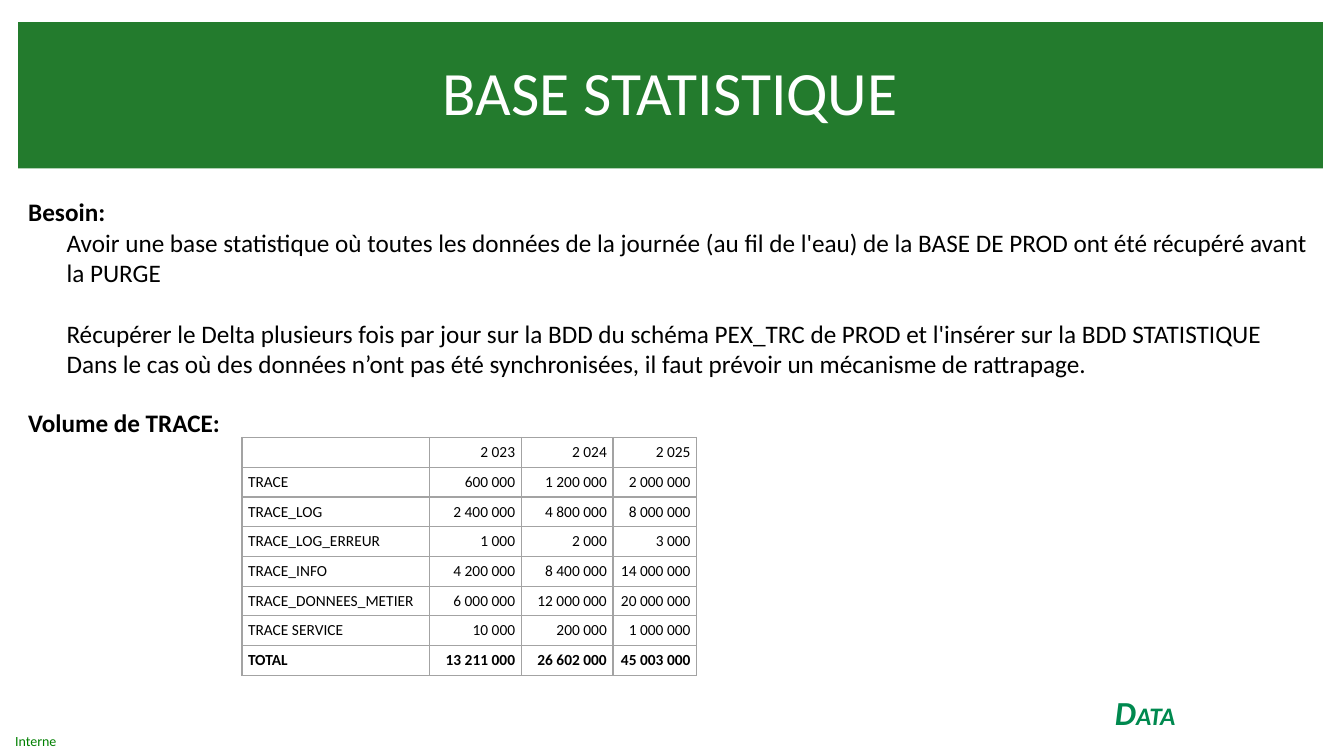
"""Build the slide on the statistics database and its trace volumes."""
from dataclasses import dataclass

from lxml.etree import SubElement
from pptx import Presentation
from pptx.dml.color import RGBColor
from pptx.enum.text import MSO_ANCHOR as Anchor, MSO_AUTO_SIZE as Fit, PP_ALIGN as Align
from pptx.oxml.ns import qn
from pptx.util import Inches, Pt

WHITE = RGBColor(0xFF, 0xFF, 0xFF)
BLACK = RGBColor(0, 0, 0)
BANNER = RGBColor(0x23, 0x7B, 0x2D)
GREEN = RGBColor(0, 0x80, 0)
TEAL = RGBColor(0, 0x89, 0x4F)
GREY = RGBColor(0xA3, 0xA3, 0xA3)
FONT = "Calibri"


@dataclass
class Label:
    box: tuple[float, float, float, float]
    runs: list[tuple[str, int]]
    color: RGBColor
    bold: bool = False
    slant: bool = False
    align: Align = Align.LEFT
    inset: float | None = None


@dataclass
class Item:
    text: str
    bold: bool = False
    indent: float = 0
    before: int = 0


LABELS = [
    Label((0, 7.21, 0.71, 0.29), [("Interne", 10)], GREEN, align=Align.CENTER, inset=0),
    Label((10.96, 6.82, 1.02, 0.5), [("D", 24), ("ATA", 18)], TEAL, bold=True, slant=True),
    Label((0.18, 3.99, 2.22, 0.4), [("Volume de TRACE:", 18)], BLACK, bold=True),
]
ITEMS = [
    Item("Besoin:", bold=True),
    Item("Avoir une base statistique où toutes les données de la journée (au fil de l'eau) "
         "de la BASE DE PROD ont été récupéré avant la PURGE", indent=0.38),
    Item("Récupérer le Delta plusieurs fois par jour sur la BDD du schéma PEX_TRC de PROD "
         "et l'insérer sur la BDD STATISTIQUE", indent=0.38, before=22),
    Item("Dans le cas où des données n’ont pas été synchronisées, il faut prévoir "
         "un mécanisme de rattrapage.", indent=0.38),
]
WIDTHS = [1.86, 0.91, 0.91, 0.83]
ROWS = [
    ("", "2 023", "2 024", "2 025"),
    ("TRACE", "600 000", "1 200 000", "2 000 000"),
    ("TRACE_LOG", "2 400 000", "4 800 000", "8 000 000"),
    ("TRACE_LOG_ERREUR", "1 000", "2 000", "3 000"),
    ("TRACE_INFO", "4 200 000", "8 400 000", "14 000 000"),
    ("TRACE_DONNEES_METIER", "6 000 000", "12 000 000", "20 000 000"),
    ("TRACE SERVICE", "10 000", "200 000", "1 000 000"),
    ("TOTAL", "13 211 000", "26 602 000", "45 003 000"),
]


def place(shape, box: tuple[float, float, float, float]) -> None:
    """Move and size a shape."""
    for name, value in zip(("left", "top", "width", "height"), box):
        setattr(shape, name, Inches(value))


def write(para, text: str, size: int, color: RGBColor, bold: bool = False,
          slant: bool = False) -> None:
    """Add one formatted run."""
    run = para.add_run()
    run.text = text
    style = {"name": FONT, "size": Pt(size), "bold": bold, "italic": slant}
    for name, value in style.items():
        setattr(run.font, name, value)
    run.font.color.rgb = color


def add_title(slide) -> None:
    """Fill the title banner."""
    title = slide.shapes.title
    place(title, (0.18, 0.22, 12.94, 1.45))
    title.fill.solid()
    title.fill.fore_color.rgb = BANNER
    frame = title.text_frame
    frame.vertical_anchor = Anchor.MIDDLE
    frame.auto_size = Fit.NONE
    para = frame.paragraphs[0]
    para.alignment = Align.CENTER
    para.line_spacing = 0.9
    write(para, "BASE STATISTIQUE", 44, WHITE)


def add_body(slide) -> None:
    """Fill the list of needs."""
    body = slide.placeholders[1]
    place(body, (0.18, 1.9, 12.94, 1.92))
    frame = body.text_frame
    frame.auto_size = Fit.NONE
    for rank, item in enumerate(ITEMS):
        para = frame.add_paragraph() if rank else frame.paragraphs[0]
        para.space_before = Pt(item.before)
        props = para._p.get_or_add_pPr()
        props.set("marL", str(Inches(item.indent)))
        props.set("indent", "0")
        SubElement(props, qn("a:buNone"))
        write(para, item.text, 18, BLACK, item.bold)


def add_label(slide, label: Label) -> None:
    """Add one text box."""
    box = slide.shapes.add_textbox(*map(Inches, label.box))
    frame = box.text_frame
    frame.word_wrap = True
    frame.vertical_anchor = Anchor.TOP
    if label.inset is not None:
        frame.vertical_anchor = Anchor.MIDDLE
        for side in ("left", "top", "right", "bottom"):
            setattr(frame, f"margin_{side}", Inches(label.inset))
    para = frame.paragraphs[0]
    para.alignment = label.align
    for text, size in label.runs:
        write(para, text, size, label.color, label.bold, label.slant)


def edge(cell) -> None:
    """Draw the four borders of a cell."""
    props = cell._tc.get_or_add_tcPr()
    for side in ("lnL", "lnR", "lnT", "lnB"):
        line = SubElement(props, qn(f"a:{side}"), w=str(Pt(1)))
        fill = SubElement(line, qn("a:solidFill"))
        SubElement(fill, qn("a:srgbClr"), val=str(GREY))


def add_grid(slide) -> None:
    """Add the table of volumes."""
    table = slide.shapes.add_table(len(ROWS), len(WIDTHS), Inches(2.4), Inches(4.34),
                                   Inches(sum(WIDTHS)), Inches(2.36)).table
    table.first_row = table.horz_banding = False
    for col, width in zip(table.columns, WIDTHS):
        col.width = Inches(width)
    margins = {"margin_left": 0.06, "margin_right": 0.06,
               "margin_top": 0.05, "margin_bottom": 0.05}
    for row, texts in enumerate(ROWS):
        for col, text in enumerate(texts):
            cell = table.cell(row, col)
            edge(cell)
            cell.fill.background()
            cell.vertical_anchor = Anchor.MIDDLE
            for name, value in margins.items():
                setattr(cell, name, Inches(value))
            para = cell.text_frame.paragraphs[0]
            para.alignment = Align.RIGHT if col else Align.LEFT
            if text:
                write(para, text, 11, BLACK, bold=row == len(ROWS) - 1)
            else:
                SubElement(para._p, qn("a:endParaRPr"), sz="1100")


def main() -> None:
    """Build and save the deck."""
    deck = Presentation()
    deck.slide_width, deck.slide_height = Inches(13.33), Inches(7.5)
    slide = deck.slides.add_slide(deck.slide_layouts[1])
    add_title(slide)
    add_body(slide)
    add_grid(slide)
    for label in LABELS:
        add_label(slide, label)
    deck.save("out.pptx")


if __name__ == "__main__":
    main()
